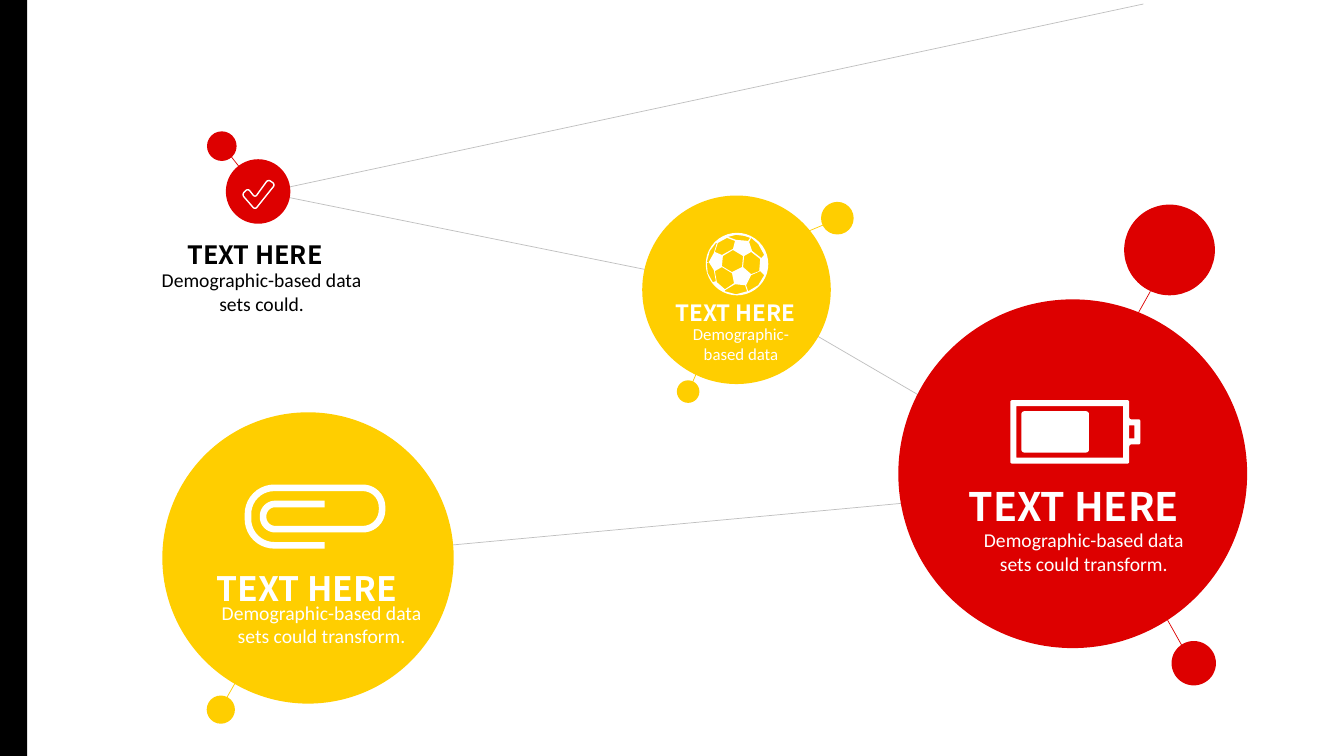
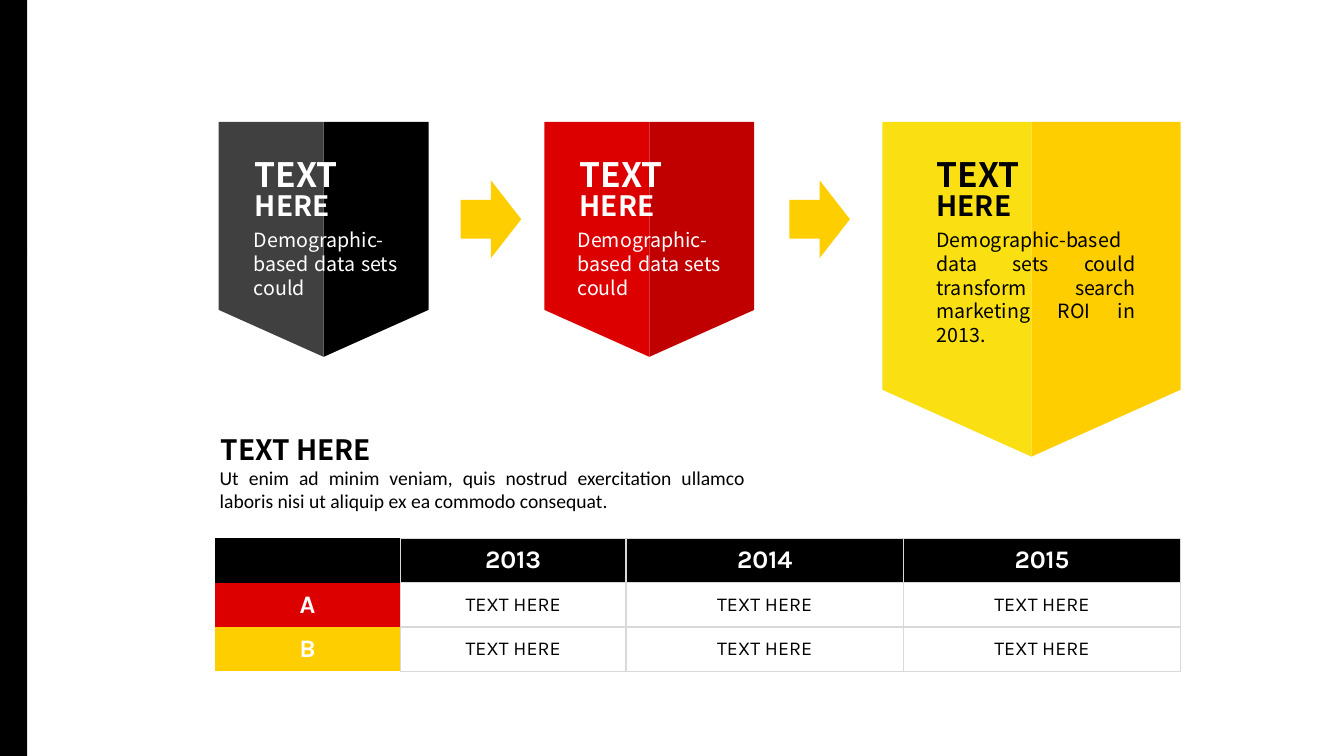
from math import sqrt

from lxml.etree import SubElement
from pptx import Presentation
from pptx.dml.color import RGBColor
from pptx.enum.shapes import MSO_CONNECTOR, MSO_SHAPE
from pptx.enum.text import MSO_ANCHOR, MSO_AUTO_SIZE, PP_ALIGN
from pptx.oxml.ns import qn
from pptx.util import Pt

PX = 9144
WIDTH, HEIGHT = 1333, 750
COLORS = {
    "black": "000000", "charcoal": "404040", "white": "FFFFFF",
    "red": "DD0000", "dark red": "C00000", "gold": "FFCE00",
    "yellow": "FAE013", "grey": "BFBFBF", "rule": "D9D9D9",
}
HEADING_FONT, BODY_FONT, TABLE_FONT = "Noto Sans CJK SC", "Calibri", "Karla"
PLAIN_TABLE = "{2D5ABB26-0587-4C30-8999-92F81FD0307C}"


def rgb(name):
    """Look up a palette colour."""
    return RGBColor.from_string(COLORS[name])


def rounded(corners, radius, closed=True, steps=10):
    """Return the outline through the corners, each rounded by the radius."""
    outline = []
    weight = sqrt(0.5)
    for i, (x, y) in enumerate(corners):
        if not closed and i in (0, len(corners) - 1):
            outline.append((x, y))
            continue
        ends = []
        for nx, ny in (corners[i - 1], corners[(i + 1) % len(corners)]):
            share = radius / sqrt((nx - x) ** 2 + (ny - y) ** 2)
            ends.append((x + (nx - x) * share, y + (ny - y) * share))
        for step in range(steps + 1):
            t = step / steps
            a, b, c = (1 - t) ** 2, 2 * weight * t * (1 - t), t * t
            outline.append(tuple(
                (a * start + b * mid + c * end) / (a + b + c)
                for start, mid, end in zip(ends[0], (x, y), ends[1])))
    return outline


def box(left, top, right, bottom):
    """Return the four corners of a rectangle."""
    return [(left, top), (right, top), (right, bottom), (left, bottom)]


class Deck:
    """Holds the deck's style and its current slide."""

    def __init__(self):
        """Open an empty widescreen deck."""
        self.deck = Presentation()
        self.deck.slide_width, self.deck.slide_height = WIDTH * PX, HEIGHT * PX
        self.shapes = None

    def new_slide(self):
        """Add a slide with the black band on its left edge."""
        self.shapes = self.deck.slides.add_slide(self.deck.slide_layouts[6]).shapes
        for top in range(0, HEIGHT, 250):
            self.shape(MSO_SHAPE.RECTANGLE, 0, top, 27, 250, "black")

    def paint(self, shape, fill=None, line=None, weight=1):
        """Give a shape its fill and line and take off its shadow."""
        shape.shadow.inherit = False
        if fill:
            shape.fill.solid()
            shape.fill.fore_color.rgb = rgb(fill)
        else:
            shape.fill.background()
        if line:
            shape.line.color.rgb = rgb(line)
            shape.line.width = Pt(weight)
        else:
            shape.line.fill.background()
        return shape

    def shape(self, kind, left, top, width, height, fill, line=None):
        """Add a preset shape."""
        added = self.shapes.add_shape(
            kind, left * PX, top * PX, width * PX, height * PX)
        return self.paint(added, fill, line)

    def circle(self, left, top, size, fill, line=None):
        """Add a circle."""
        self.shape(MSO_SHAPE.OVAL, left, top, size, size, fill, line)

    def line(self, x1, y1, x2, y2, color):
        """Add a thin straight line."""
        link = self.shapes.add_connector(
            MSO_CONNECTOR.STRAIGHT, x1 * PX, y1 * PX, x2 * PX, y2 * PX)
        link.line.color.rgb = rgb(color)
        link.line.width = Pt(0.5)
        SubElement(link._element.spPr, qn("a:effectLst"))

    def icon(self, outlines, fill="white", line=None, weight=1, closed=True):
        """Add one freeform made of several outlines."""
        builder = None
        for outline in outlines:
            points = [(round(x * PX), round(y * PX)) for x, y in outline]
            if builder is None:
                builder = self.shapes.build_freeform(*points[0], scale=1.0)
            else:
                builder.move_to(*points[0])
            builder.add_line_segments(points[1:], close=closed)
        self.paint(builder.convert_to_shape(), fill, line, weight)

    def text(self, words, left, top, width, height, size, color="black",
             font=HEADING_FONT, bold=False, align=PP_ALIGN.LEFT, wrap=True):
        """Add a text box."""
        frame = self.shapes.add_textbox(
            left * PX, top * PX, width * PX, height * PX).text_frame
        frame.word_wrap = wrap
        frame.auto_size = MSO_AUTO_SIZE.SHAPE_TO_FIT_TEXT
        frame.text = words
        paragraph = frame.paragraphs[0]
        if font == HEADING_FONT:
            paragraph.line_spacing = Pt(round(size * 1.21))
        self.style(paragraph, size, color, font, bold, align)

    def heading(self, words, left, top, width, height, size, color="black"):
        """Add a bold heading on one line."""
        self.text(words, left, top, width, height, size, color, bold=True, wrap=False)

    def style(self, paragraph, size, color, font, bold, align):
        """Format a paragraph and its runs."""
        paragraph.alignment = align
        for run in paragraph.runs:
            run.font.size, run.font.name, run.font.bold = Pt(size), font, bold
            run.font.color.rgb = rgb(color)

    def shield(self, left, top, half, height, light, dark):
        """Add a pointed shield made of two mirrored halves."""
        for x, fill in ((left + half, dark), (left, light)):
            side = self.shape(
                MSO_SHAPE.FLOWCHART_MANUAL_INPUT, x, top, half, height, fill)
            side.rotation = 180
            if x == left:
                side._element.spPr.xfrm.set("flipH", "1")

    def borders(self, cell, sides):
        """Rule the given sides of a cell and clear the others."""
        properties = cell._tc.get_or_add_tcPr()
        for place, side in enumerate("LRTB"):
            edge = properties.makeelement(qn(f"a:ln{side}"), {"w": str(Pt(1))})
            properties.insert(place, edge)
            if side in sides:
                solid = SubElement(edge, qn("a:solidFill"))
                SubElement(solid, qn("a:srgbClr"), val=COLORS["rule"])
            else:
                SubElement(edge, qn("a:noFill"))

    def table(self, rows, left, top, widths, row_height, row_fills):
        """Add a table with a black head and coloured row labels."""
        grid = self.shapes.add_table(
            len(rows), len(widths), left * PX, top * PX,
            sum(widths) * PX, len(rows) * row_height * PX).table
        grid._tbl.tblPr.find(qn("a:tableStyleId")).text = PLAIN_TABLE
        grid.first_row = grid.horz_banding = False
        for column, width in zip(grid.columns, widths):
            column.width = width * PX
        for r, row in enumerate(rows):
            grid.rows[r].height = row_height * PX
            for c, words in enumerate(row):
                cell = grid.cell(r, c)
                cell.text = words
                cell.vertical_anchor = MSO_ANCHOR.MIDDLE
                label = r == 0 or c == 0
                if label:
                    cell.fill.solid()
                    cell.fill.fore_color.rgb = rgb(row_fills[r])
                else:
                    cell.fill.background()
                self.style(cell.text_frame.paragraphs[0], 18 if label else 14,
                           "white" if label else "black", TABLE_FONT, label,
                           PP_ALIGN.CENTER)
                self.borders(cell, "LRTB" if c else "R")


def draw_icons(deck):
    """Draw the battery, ball, paperclip and check mark."""
    battery = [(1002, 397), (1120, 397), (1120, 416), (1131, 416),
               (1131, 441), (1120, 441), (1120, 460), (1002, 460)]
    deck.icon([rounded(battery, 2), box(1008, 403, 1114, 454),
               rounded(box(1013, 408, 1080, 449), 3),
               box(1120, 422, 1125, 435)])
    panels = [
        [(758, 253), (755, 256), (746, 249), (743, 240), (745, 236), (752, 242)],
        [(753, 269), (745, 272), (737, 265), (738, 254), (745, 250), (754, 257)],
        [(728, 281), (719, 287), (711, 280), (709, 269), (716, 265), (726, 271)],
        [(712, 241), (721, 236), (729, 239), (727, 247), (716, 253), (709, 250)],
        [(726, 270), (716, 264), (717, 254), (727, 248), (737, 254), (736, 265)],
        [(744, 236), (742, 239), (730, 238), (722, 235), (730, 233), (738, 234)],
        [(710, 241), (711, 241), (708, 251), (703, 260), (701, 260), (704, 249)],
        [(701, 261), (703, 260), (708, 268), (710, 279), (707, 280), (702, 271)],
        [(719, 289), (719, 288), (729, 282), (739, 283), (741, 289), (730, 292)],
        [(742, 289), (740, 283), (745, 273), (754, 269), (758, 273), (752, 283)],
    ]
    deck.icon([rounded(box(700, 231, 762, 293), 31), *panels])
    hook = rounded([(322, 541), (246, 541), (246, 484), (379, 484), (379, 525),
                    (261, 525), (261, 500), (322, 500)], 12, closed=False)
    outer = rounded([(322, 541), (246, 541), (246, 484), (312, 484)], 26, closed=False)
    inner = rounded([(312, 484), (379, 484), (379, 525), (312, 525)], 19, closed=False)
    tail = [point for point in hook if point[1] <= 525 and point[0] < 300
            and point[0] >= 261]
    deck.icon([outer + inner + tail + [(322, 500)]], None, "white", 4.7, False)
    check = [(266, 178), (273, 183), (253, 208), (240, 193), (246, 187), (253, 196)]
    deck.icon([rounded(check, 3)], None, "white", 1)


def network_slide(deck):
    """Build the slide of linked circles."""
    deck.new_slide()
    for ends in ((272, 193, 658, 271), (305, 554, 995, 490),
                 (731, 287, 1064, 481), (266, 190, 1134, 4)):
        deck.line(*ends, "grey")
    satellites = [
        (672, 378, 21, "gold", "gold", (687, 379, 694, 363)),
        (815, 201, 31, "gold", "gold", (817, 223, 793, 233)),
        (1162, 636, 44, "red", None, (1172, 640, 1154, 608)),
        (205, 690, 28, "gold", None, (225, 692, 237, 671)),
        (206, 131, 28, "red", "red", (229, 155, 244, 174)),
        (1115, 203, 90, "red", None, (1141, 289, 1104, 355)),
    ]
    for left, top, size, color, rim, stem in satellites:
        deck.circle(left, top, size, color, rim)
        deck.line(*stem, color)
    for hub in ((224, 158, 64, "red"), (161, 409, 289, "gold"),
                (891, 297, 346, "red"), (637, 194, 187, "gold")):
        deck.circle(*hub)
    draw_icons(deck)
    phrase = "Demographic-based data"
    topics = [
        ((951, 473, 249, 57, 28), " sets could transform.", (951, 519, 248, 57, 14), "white"),
        ((176, 232, 167, 40, 18), " sets could.", (140, 261, 239, 57, 14), "black"),
        ((660, 292, 151, 37, 16), "", (668, 316, 134, 50, 12), "white"),
        ((205, 558, 216, 50, 24), " sets could transform.", (195, 591, 248, 57, 14), "white"),
    ]
    for heading, ending, body, color in topics:
        deck.heading("TEXT HERE", *heading, color)
        deck.text(phrase + ending, *body, color, BODY_FONT, align=PP_ALIGN.CENTER)


def process_slide(deck):
    """Build the slide of three shields and a table."""
    deck.new_slide()
    phrase = "Demographic-based data sets could"
    stages = [
        ((217, 121, 104, 233, "charcoal", "black"), 243, phrase, (242, 162, 81), "white"),
        ((540, 121, 104, 233, "red", "dark red"), 565, phrase, (563, 162, 81), "white"),
        ((875, 121, 148, 332, "yellow", "gold"), 919,
         phrase + " transform search marketing ROI in 2013.", (919, 217, 128), "black"),
    ]
    for shield, left, body, (body_left, body_width, body_height), color in stages:
        deck.shield(*shield)
        deck.heading("TEXT", left, 148, 116, 50, 24, color)
        deck.heading("HERE", left, 182, 95, 44, 20, color)
        deck.text(body, body_left, 221, body_width, body_height, 14, color,
                  align=PP_ALIGN.JUSTIFY)
    for left in (457, 783):
        deck.shape(MSO_SHAPE.RIGHT_ARROW, left, 179, 60, 77, "gold")
    years = ["2013", "2014", "2015"]
    rows = [["", *years]] + [[label] + ["TEXT HERE"] * len(years) for label in "AB"]
    deck.table(rows, 213, 534, [184, 224, 275, 275], 44, ["black", "red", "gold"])
    deck.text("Ut enim ad minim veniam, quis nostrud exercitation ullamco laboris "
              "nisi ut aliquip ex ea commodo consequat.", 208, 457, 541, 57, 14,
              font=BODY_FONT, align=PP_ALIGN.JUSTIFY)
    deck.text("TEXT HERE", 209, 424, 189, 44, 20, bold=True)


def main():
    """Build and save the deck."""
    deck = Deck()
    network_slide(deck)
    process_slide(deck)
    deck.deck.save("out.pptx")


if __name__ == "__main__":
    main()
